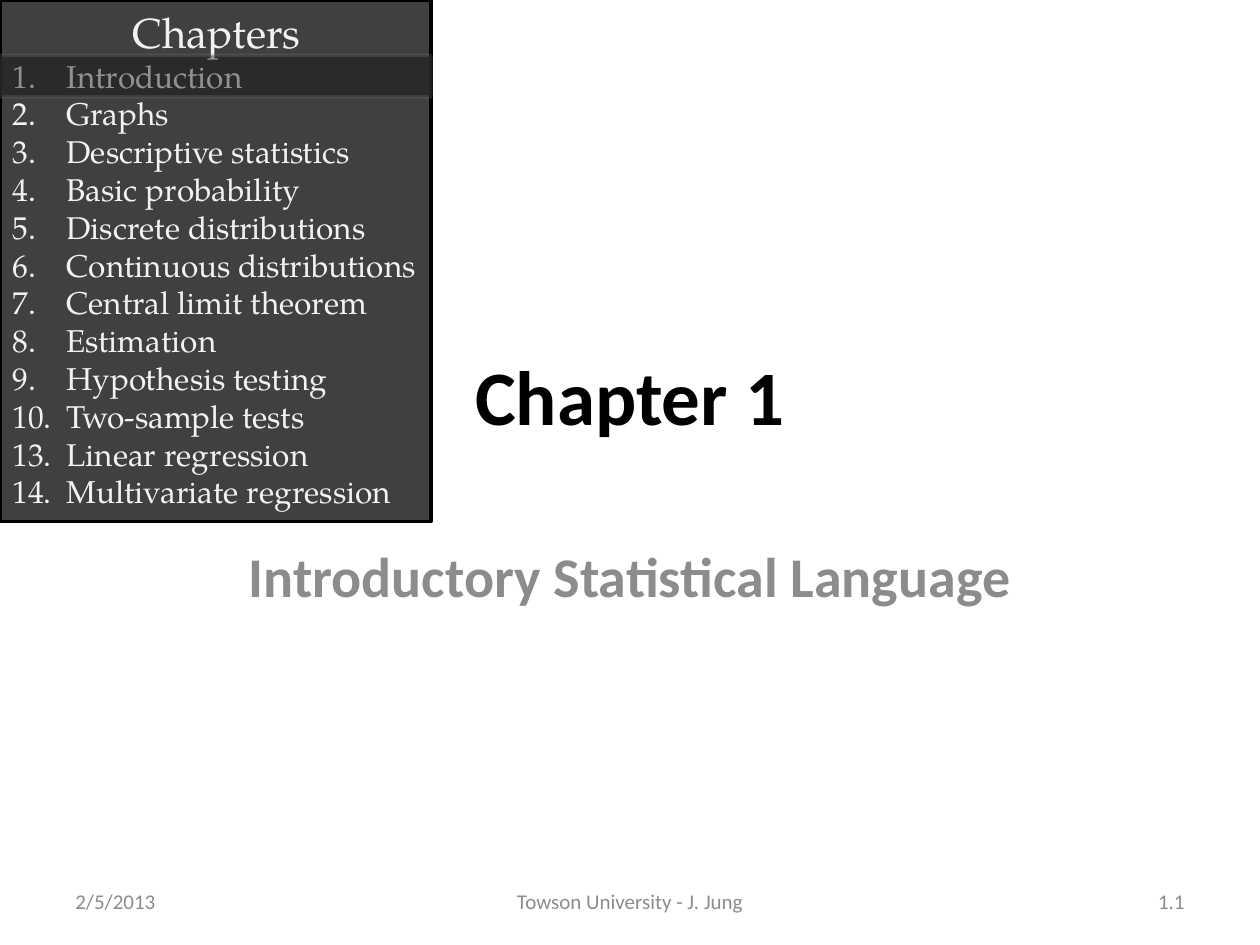
from dataclasses import dataclass

from lxml.etree import SubElement
from pptx import Presentation
from pptx.dml.color import RGBColor as RGB
from pptx.enum.shapes import MSO_SHAPE as SHAPE
from pptx.enum.text import MSO_ANCHOR as ANCHOR, PP_ALIGN as ALIGN
from pptx.oxml.ns import qn
from pptx.util import Inches, Pt


@dataclass(frozen=True)
class Theme:
    serif: str = "TeX Gyre Pagella"
    sans: str = "Calibri"
    panel: str = "404040"
    panel_text: str = "F2F2F2"
    black: str = "000000"
    veil: str = "0D0D0D"
    veil_line: str = "808080"
    muted: str = "8C8C8C"
    title: int = 44
    subtitle: int = 32
    heading: int = 24
    entry: int = 18
    footer: int = 12
    line: int = 2


T = Theme()
W, H = 10, 7.5
MARGIN = 0.05 * W
PANEL_W, PANEL_H = 3.42, 4.14
CHAPTERS = {
    1: "Introduction",
    2: "Graphs",
    3: "Descriptive statistics",
    4: "Basic probability",
    5: "Discrete distributions",
    6: "Continuous distributions",
    7: "Central limit theorem",
    8: "Estimation",
    9: "Hypothesis testing",
    10: "Two-sample tests",
    13: "Linear regression",
    14: "Multivariate regression",
}
FOOTERS = [
    ("2/5/2013", MARGIN, 2.33, ALIGN.LEFT),
    ("Towson University - J. Jung", (W - 3.17) / 2, 3.17, ALIGN.CENTER),
    ("1.1", W - MARGIN - 2.33, 2.33, ALIGN.RIGHT),
]


def box(x, y, w, h):
    return [Inches(v) for v in (x, y, w, h)]


def add_run(p, text, size, font, color, bold=False):
    r = p.add_run()
    r.text = text
    r.font.size, r.font.name, r.font.bold = Pt(size), font, bold
    r.font.color.rgb = RGB.from_string(color)


def set_alpha(fill, percent):
    color = fill._xPr.find(qn("a:solidFill"))[0]
    SubElement(color, qn("a:alpha")).set("val", str(percent * 1000))


def add_rect(s, place, fill, line):
    sp = s.shapes.add_shape(SHAPE.RECTANGLE, *box(*place))
    sp.shadow.inherit = False
    sp.fill.solid()
    sp.fill.fore_color.rgb = RGB.from_string(fill)
    sp.line.color.rgb = RGB.from_string(line)
    sp.line.width = Pt(T.line)
    return sp


def hang(p, indent):
    pPr = p._p.get_or_add_pPr()
    pPr.set("marL", str(Inches(indent)))
    pPr.set("indent", str(-Inches(indent)))


def add_chapter_list(s):
    tf = add_rect(s, (0, 0, PANEL_W, PANEL_H), T.panel, T.black).text_frame
    tf.word_wrap, tf.vertical_anchor = True, ANCHOR.TOP
    tf.margin_right = tf.margin_left = Inches(0.1)
    p = tf.paragraphs[0]
    p.alignment = ALIGN.CENTER
    add_run(p, "Chapters", T.heading, T.serif, T.panel_text)
    tf.margin_right = Inches(0.08)
    for number, name in CHAPTERS.items():
        p = tf.add_paragraph()
        p.alignment = ALIGN.LEFT
        hang(p, 0.43)
        add_run(p, f"{number}.\t{name}", T.entry, T.serif, T.panel_text)


def add_veil(s):
    sp = add_rect(s, (0, 0.44, PANEL_W, 0.33), T.veil, T.veil_line)
    set_alpha(sp.fill, 42)
    set_alpha(sp.line.fill, 23)


def fill_placeholder(sp, place, text, size, color):
    sp.left, sp.top, sp.width, sp.height = box(*place)
    p = sp.text_frame.paragraphs[0]
    p.alignment = ALIGN.CENTER
    add_run(p, text, size, T.sans, color, bold=True)


def add_footer(s, text, x, w, align):
    tf = s.shapes.add_textbox(*box(x, 6.95, w, 0.4)).text_frame
    tf.word_wrap, tf.vertical_anchor = True, ANCHOR.MIDDLE
    p = tf.paragraphs[0]
    p.alignment = align
    add_run(p, text, T.footer, T.sans, T.muted)


def main():
    prs = Presentation()
    prs.slide_width, prs.slide_height = Inches(W), Inches(H)
    s = prs.slides.add_slide(prs.slide_layouts[0])
    title, subtitle = s.placeholders
    add_chapter_list(s)
    add_veil(s)
    fill_placeholder(title, (0.75, 2.33, W - 1.5, 1.61),
                     "Chapter 1", T.title, T.black)
    fill_placeholder(subtitle, (1.5, 4.25, W - 3, 1.92),
                     "Introductory Statistical Language", T.subtitle, T.muted)
    for footer in FOOTERS:
        add_footer(s, *footer)
    prs.save("out.pptx")


if __name__ == "__main__":
    main()
